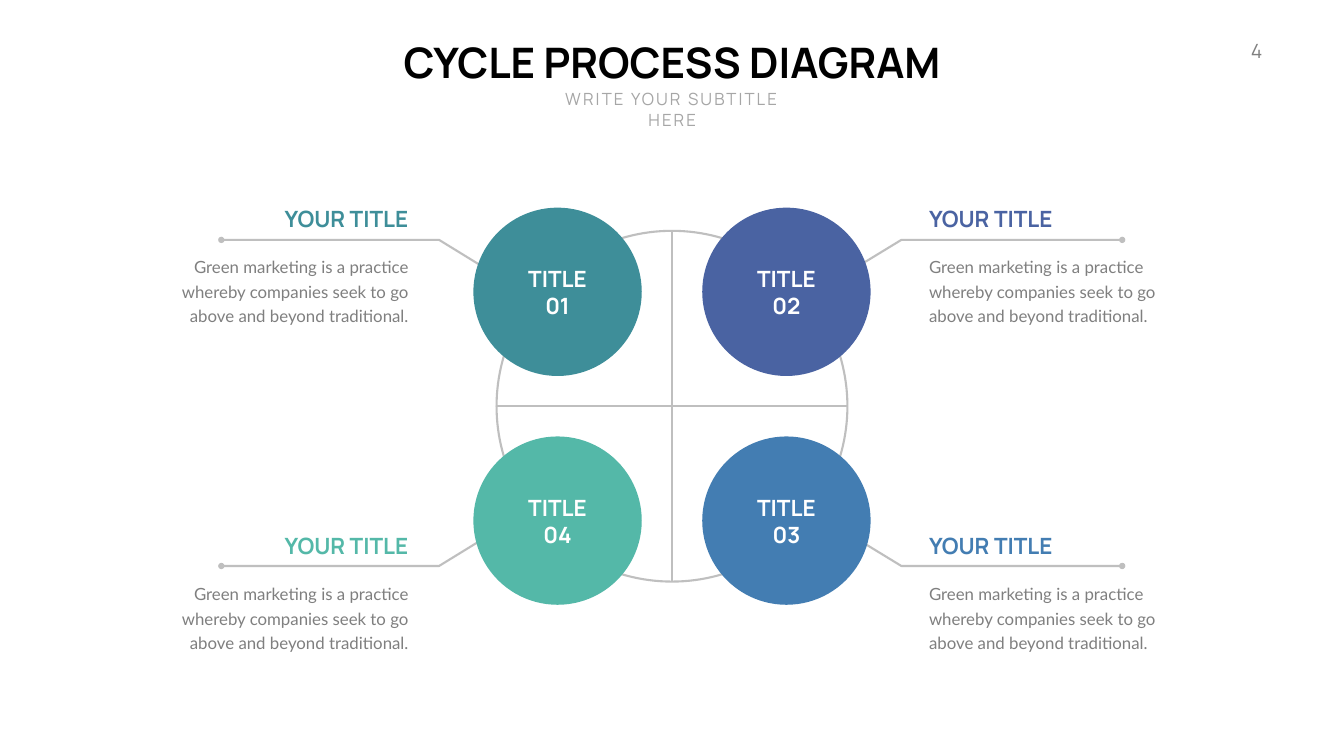
from dataclasses import dataclass

from lxml.etree import SubElement
from pptx import Presentation
from pptx.dml.color import RGBColor
from pptx.enum.shapes import MSO_CONNECTOR as CONNECTOR, MSO_SHAPE as SHAPE
from pptx.enum.text import MSO_ANCHOR as ANCHOR, MSO_AUTO_SIZE as AUTO_SIZE, PP_ALIGN as ALIGN
from pptx.oxml.ns import qn
from pptx.util import Pt

PX = 9144  # EMU per px, 100 px to the inch


@dataclass(frozen=True)
class Theme:
    display: str = "Manrope"
    body: str = "Lato"
    black: str = "000000"
    white: str = "FFFFFF"
    line: str = "BFBFBF"
    subtitle: str = "A6A6A6"
    number: str = "808080"
    text: str = "7F7F7F"
    teal: str = "3E8E99"
    indigo: str = "4A63A2"
    blue: str = "437DB2"
    mint: str = "54B8A8"
    title_size: int = 60
    label_size: int = 32
    number_size: int = 28
    body_size: int = 24
    leading: int = 35
    stroke: int = 3


@dataclass(frozen=True)
class Side:
    """Horizontal layout of the callouts left or right of the ring."""
    sign: int
    leader: tuple
    heading_x: int
    body_x: int
    align: ALIGN


@dataclass(frozen=True)
class Row:
    """Vertical layout of the callouts above or below the ring's centre."""
    sign: int
    leader_y: int
    text_y: int


T = Theme()
CENTRE_X, CENTRE_Y = 1333, 806
RING_RADIUS, NODE_RADIUS, NODE_OFFSET = 348, 167, 227
HEADING_W, BODY_W = 280, 477

LEFT = Side(-1, (980, 871, 439), 540, 343, ALIGN.RIGHT)
RIGHT = Side(1, (1678, 1788, 2226), 1833, 1833, ALIGN.LEFT)
TOP = Row(-1, 476, 401)
BOTTOM = Row(1, 1123, 1050)

STEPS = [
    ("TITLE 01", T.teal, LEFT, TOP),
    ("TITLE 02", T.indigo, RIGHT, TOP),
    ("TITLE 03", T.blue, RIGHT, BOTTOM),
    ("TITLE 04", T.mint, LEFT, BOTTOM),
]
HEADING = "YOUR TITLE"
BODY = "Green marketing is a practice whereby companies seek to go above and beyond traditional."


def px(*values):
    return [v * PX for v in values]


def write(sp, text, size, color, font=T.display, bold=False, align=ALIGN.CENTER,
          anchor=ANCHOR.TOP, tracking=0, leading=None):
    tf = sp.text_frame
    frame = {"word_wrap": True, "auto_size": AUTO_SIZE.NONE, "vertical_anchor": anchor}
    for name, value in frame.items():
        setattr(tf, name, value)
    p = tf.paragraphs[0]
    p.alignment = align
    if leading:
        p.line_spacing = Pt(leading)
    r = p.add_run()
    r.text = text
    for name, value in {"name": font, "size": Pt(size), "bold": bold}.items():
        setattr(r.font, name, value)
    r.font.color.rgb = RGBColor.from_string(color)
    if tracking:
        r.font._element.set("spc", str(tracking * 100))


def add_text(s, box, text, size, color, **style):
    write(s.shapes.add_textbox(*px(*box)), text, size, color, **style)


def stroke(sp):
    sp.line.color.rgb = RGBColor.from_string(T.line)
    sp.line.width = Pt(T.stroke)


def add_circle(s, x, y, radius, fill=None):
    """Draw a filled disc, or an outlined ring when there is no fill."""
    sp = s.shapes.add_shape(SHAPE.OVAL, *px(x - radius, y - radius, 2 * radius, 2 * radius))
    sp.shadow.inherit = False
    if fill:
        sp.fill.solid()
        sp.fill.fore_color.rgb = RGBColor.from_string(fill)
        sp.line.fill.background()
    else:
        sp.fill.background()
        stroke(sp)


def add_line(s, x1, y1, x2, y2):
    line = s.shapes.add_connector(CONNECTOR.STRAIGHT, *px(x1, y1, x2, y2))
    stroke(line)
    SubElement(line._element.spPr, qn("a:effectLst"))


def add_leader(s, side, row):
    start, elbow, end = side.leader
    y = row.leader_y
    builder = s.shapes.build_freeform(start, y - row.sign * 67, scale=PX)
    builder.add_line_segments([(elbow, y), (end, y)], close=False)
    sp = builder.convert_to_shape()
    sp.shadow.inherit = False
    sp.fill.background()
    stroke(sp)
    SubElement(sp.line._get_or_add_ln(), qn("a:tailEnd"), type="oval")


def add_node(s, label, color, side, row):
    x = CENTRE_X + side.sign * NODE_OFFSET
    y = CENTRE_Y + row.sign * NODE_OFFSET
    add_circle(s, x, y, NODE_RADIUS, color)
    add_text(s, (x - 95, y - 32, 190, 64), label, T.label_size, T.white,
             bold=True, anchor=ANCHOR.MIDDLE)


def add_callout(s, color, side, row):
    add_text(s, (side.heading_x, row.text_y, HEADING_W, 64), HEADING, T.label_size, color,
             bold=True, align=side.align, anchor=ANCHOR.BOTTOM)
    add_text(s, (side.body_x, row.text_y + 95, BODY_W, 152), BODY, T.body_size, T.text,
             font=T.body, align=side.align, leading=T.leading)


def add_header(s):
    title = s.shapes.title
    for name, value in zip(("left", "top", "width", "height"), px(773, 67, 1120, 111)):
        setattr(title, name, value)
    write(title, "CYCLE PROCESS DIAGRAM", T.title_size, T.black, bold=True)
    add_text(s, (1062, 172, 543, 50), "WRITE YOUR SUBTITLE HERE", T.body_size, T.subtitle,
             tracking=3)
    add_text(s, (2424, 72, 90, 57), "4", T.number_size, T.number, align=ALIGN.RIGHT, tracking=3)


def main():
    prs = Presentation()
    prs.slide_width, prs.slide_height = px(2666, 1500)
    s = prs.slides.add_slide(prs.slide_layouts.get_by_name("Title Only"))
    add_header(s)
    for _, _, side, row in STEPS:
        add_leader(s, side, row)
    add_circle(s, CENTRE_X, CENTRE_Y, RING_RADIUS)
    add_line(s, CENTRE_X, CENTRE_Y - RING_RADIUS, CENTRE_X, CENTRE_Y + RING_RADIUS)
    add_line(s, CENTRE_X - RING_RADIUS, CENTRE_Y, CENTRE_X + RING_RADIUS, CENTRE_Y)
    for label, color, side, row in STEPS:
        add_node(s, label, color, side, row)
        add_callout(s, color, side, row)
    prs.save("out.pptx")


if __name__ == "__main__":
    main()
